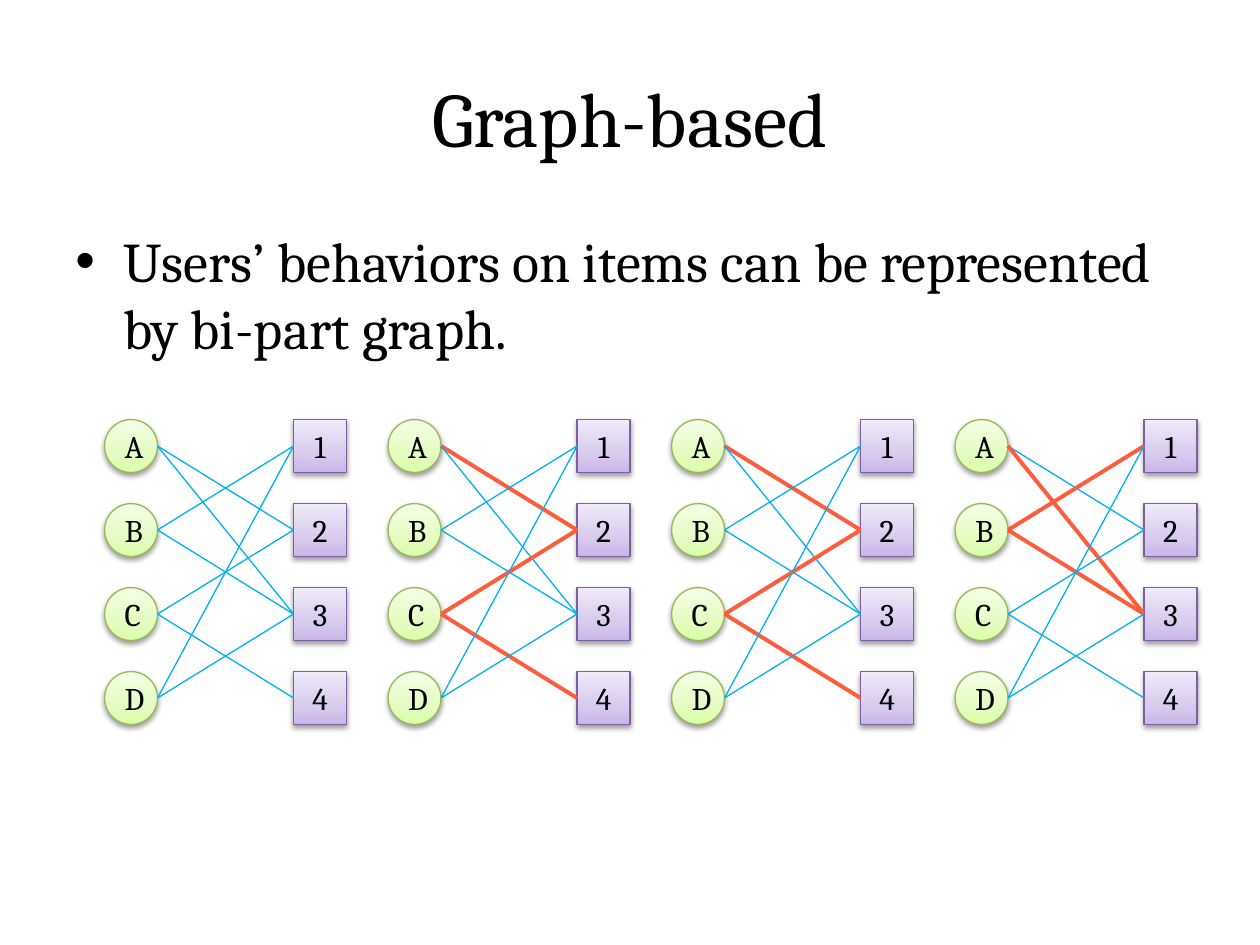
from dataclasses import dataclass

from lxml import etree
from pptx import Presentation
from pptx.dml.color import RGBColor
from pptx.enum.shapes import MSO_CONNECTOR, MSO_SHAPE
from pptx.enum.text import MSO_ANCHOR, PP_ALIGN
from pptx.oxml.ns import qn
from pptx.shapes.autoshape import Shape
from pptx.shapes.group import GroupShape
from pptx.slide import Slide
from pptx.text.text import TextFrame
from pptx.util import Inches, Pt

ELLIPSE, RECT = MSO_SHAPE.OVAL, MSO_SHAPE.RECTANGLE
STRAIGHT = MSO_CONNECTOR.STRAIGHT
LEFT, CENTER = PP_ALIGN.LEFT, PP_ALIGN.CENTER
TOP, MIDDLE = MSO_ANCHOR.TOP, MSO_ANCHOR.MIDDLE
LEFT_SIDE = 1


@dataclass(frozen=True)
class NodeStyle:
    shape: MSO_SHAPE
    stops: tuple[tuple[int, str], ...]
    line: str


@dataclass(frozen=True)
class EdgeStyle:
    color: str
    width: float


@dataclass(frozen=True)
class Theme:
    font: str = "Cambria"
    text: str = "000000"
    title_size: float = 44
    body_size: float = 32
    node_size: float = 18
    node_line: float = 0.75
    user: NodeStyle = NodeStyle(
        ELLIPSE, ((0, "DAFDA7"), (35, "E4FCC2"), (100, "F5FFE7")), "98B955")
    item: NodeStyle = NodeStyle(
        RECT, ((0, "C9B5E8"), (35, "D8CBEE"), (100, "F0EAF9")), "7D60A0")
    edge: EdgeStyle = EdgeStyle("00B0F0", 0.75)
    walk: EdgeStyle = EdgeStyle("FE5C3C", 2.25)


THEME = Theme()

USERS, ITEMS = "ABCD", "1234"
EDGES = ("A2", "A3", "B1", "B3", "C2", "C4", "D3", "D1")
# Highlighted edges of each graph, from left to right
WALKS = (
    (),
    ("A2", "C2", "C4"),
    ("A2", "C2", "C4"),
    ("A3", "B1", "B3"),
)

NODE = Inches(0.42)
GRAPH_LEFT, GRAPH_TOP = Inches(0.83), Inches(3.33)
GRAPH_PITCH, ITEM_OFFSET, ROW_PITCH = Inches(2.25), Inches(1.5), Inches(2 / 3)


def write(tf: TextFrame, text: str, size: float, align: PP_ALIGN, anchor: MSO_ANCHOR) -> None:
    tf.word_wrap = True
    tf.vertical_anchor = anchor
    p = tf.paragraphs[0]
    p.alignment = align
    r = p.add_run()
    r.text = text
    r.font.name = THEME.font
    r.font.size = Pt(size)
    r.font.color.rgb = RGBColor.from_string(THEME.text)


def add_title(slide: Slide, text: str) -> None:
    tb = slide.shapes.add_textbox(Inches(0.5), Inches(0.3), Inches(9), Inches(1.25))
    write(tb.text_frame, text, THEME.title_size, CENTER, MIDDLE)


def add_bullet(slide: Slide, text: str) -> None:
    tb = slide.shapes.add_textbox(Inches(0.5), Inches(1.75), Inches(9), Inches(4.95))
    write(tb.text_frame, text, THEME.body_size, LEFT, TOP)
    p = tb.text_frame.paragraphs[0]
    p.space_before = Pt(0.2 * THEME.body_size)
    pPr = p._p.get_or_add_pPr()
    pPr.set("marL", str(Inches(0.38)))
    pPr.set("indent", str(-Inches(0.38)))
    etree.SubElement(pPr, qn("a:buFont"), typeface="Arial")
    etree.SubElement(pPr, qn("a:buChar"), char="•")


def set_gradient(sp: Shape, stops: tuple[tuple[int, str], ...]) -> None:
    sp.fill.gradient()
    sp.fill.gradient_angle = 90
    gs_list = sp._element.spPr.find(qn("a:gradFill")).find(qn("a:gsLst"))
    for gs in list(gs_list):
        gs_list.remove(gs)
    for percent, color in stops:
        gs = etree.SubElement(gs_list, qn("a:gs"), pos=str(percent * 1000))
        etree.SubElement(gs, qn("a:srgbClr"), val=color)


def set_shadow(sp: Shape) -> None:
    """Give the shape a soft shadow that falls straight down."""
    sp.shadow.inherit = False
    effects = sp._element.spPr.find(qn("a:effectLst"))
    shadow = etree.SubElement(
        effects, qn("a:outerShdw"), blurRad=str(Pt(3.1)), dist=str(Pt(1.6)),
        dir="5400000", rotWithShape="0")
    color = etree.SubElement(shadow, qn("a:srgbClr"), val="000000")
    etree.SubElement(color, qn("a:alpha"), val="38000")


def add_node(group: GroupShape, label: str, left: int, top: int, style: NodeStyle) -> Shape:
    sp = group.shapes.add_shape(style.shape, left, top, NODE, NODE)
    set_gradient(sp, style.stops)
    sp.line.color.rgb = RGBColor.from_string(style.line)
    sp.line.width = Pt(THEME.node_line)
    set_shadow(sp)
    write(sp.text_frame, label, THEME.node_size, CENTER, MIDDLE)
    return sp


def add_column(group: GroupShape, labels: str, left: int, style: NodeStyle) -> dict[str, Shape]:
    return {label: add_node(group, label, left, GRAPH_TOP + row * ROW_PITCH, style)
            for row, label in enumerate(labels)}


def add_edge(group: GroupShape, user: Shape, item: Shape, style: EdgeStyle) -> None:
    half = NODE // 2
    line = group.shapes.add_connector(
        STRAIGHT, user.left + NODE, user.top + half, item.left, item.top + half)
    line.end_connect(item, LEFT_SIDE)
    line.line.color.rgb = RGBColor.from_string(style.color)
    line.line.width = Pt(style.width)
    etree.SubElement(line._element.spPr, qn("a:effectLst"))


def add_graph(slide: Slide, left: int, walk: tuple[str, ...]) -> None:
    group = slide.shapes.add_group_shape()
    users = add_column(group, USERS, left, THEME.user)
    items = add_column(group, ITEMS, left + ITEM_OFFSET, THEME.item)
    for edge in EDGES:
        user, item = edge
        style = THEME.walk if edge in walk else THEME.edge
        add_edge(group, users[user], items[item], style)


def main() -> None:
    prs = Presentation()
    prs.slide_width, prs.slide_height = Inches(10), Inches(7.5)
    slide = prs.slides.add_slide(prs.slide_layouts[6])
    add_title(slide, "Graph-based")
    add_bullet(slide, "Users’ behaviors on items can be represented by bi-part graph.")
    for column, walk in enumerate(WALKS):
        add_graph(slide, GRAPH_LEFT + column * GRAPH_PITCH, walk)
    prs.save("out.pptx")


if __name__ == "__main__":
    main()
